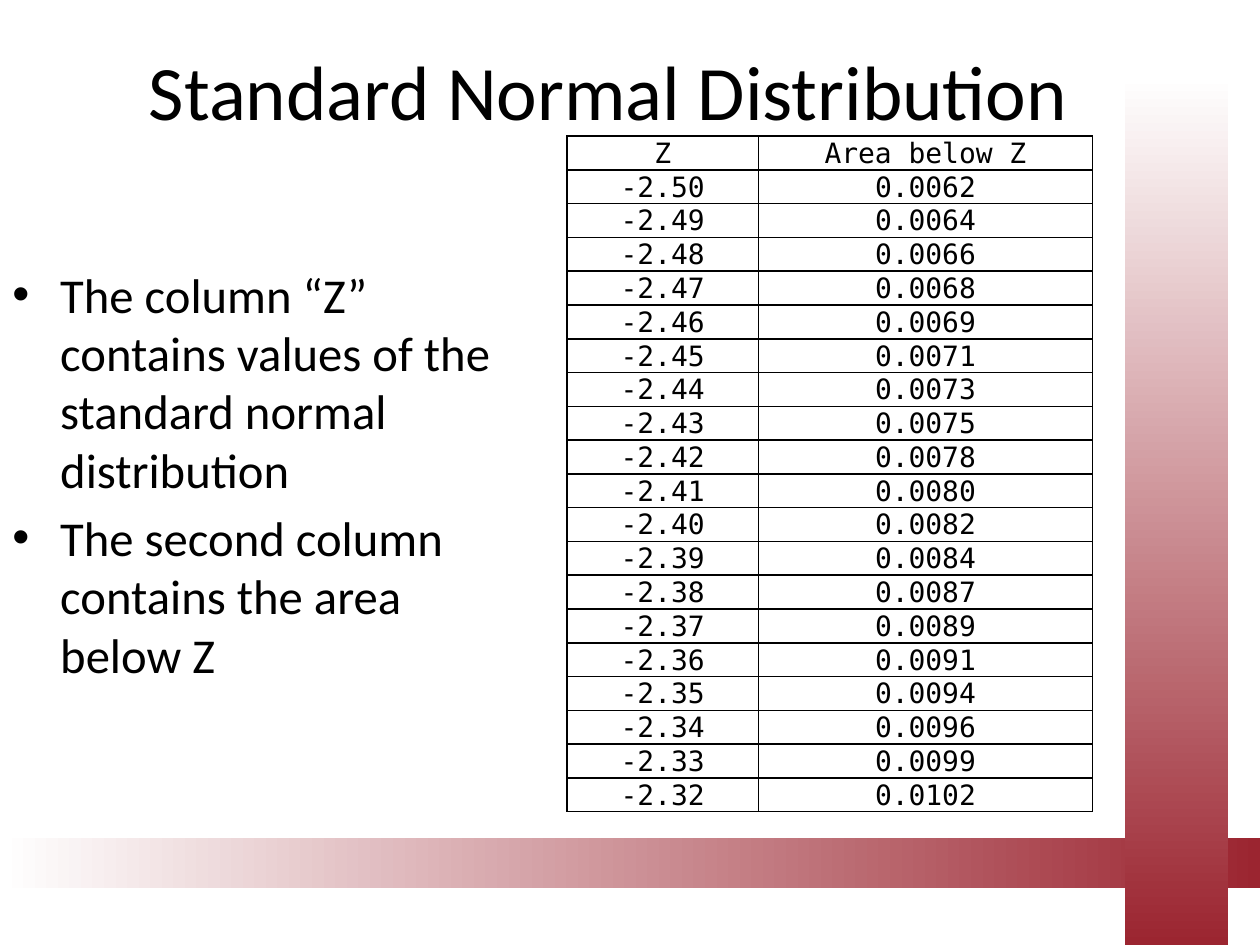
from lxml.etree import SubElement
from pptx import Presentation
from pptx.dml.color import RGBColor
from pptx.enum.shapes import MSO_SHAPE
from pptx.enum.text import MSO_ANCHOR, PP_ALIGN
from pptx.oxml.ns import qn
from pptx.util import Inches, Pt

COLORS = {"text": "000000", "fade": "FFFFFF", "accent": "9B2530", "border": "000000"}

# Content
TITLE = "Standard Normal Distribution"
BULLETS = [
    "The column “Z” contains values of the standard normal distribution",
    "The second column contains the area below Z",
]
HEADER = ("Z", "Area below Z")
FIRST_Z, Z_STEP = -2.50, 0.01
AREAS = [
    "0.0062", "0.0064", "0.0066", "0.0068", "0.0069", "0.0071", "0.0073",
    "0.0075", "0.0078", "0.0080", "0.0082", "0.0084", "0.0087", "0.0089",
    "0.0091", "0.0094", "0.0096", "0.0099", "0.0102",
]
ROWS = [HEADER] + [(f"{FIRST_Z + i * Z_STEP:.2f}", area) for i, area in enumerate(AREAS)]

# Layout: left, top, width, height in inches
TITLE_BOX = (0.58, 0.16, 8.5, 1.11)
BULLET_BOX = (0, 2.05, 4.17, 4.41)
TABLE_BOX = (4.5, 1.08, 4.17, 5.37)
COLUMN_WIDTHS = (1.52, 2.65)
# Box, position of the first gradient stop, counter-clockwise angle
BARS = [
    ((0, 6.65, 10, 0.4), 0, 0),
    ((8.93, 0, 0.82, 7.5), 0.08, 270),
]

# Formats
TITLE_FONT = {"name": "Calibri", "size": Pt(44), "bold": False}
BULLET_FONT = {"name": "Calibri", "size": Pt(27.8)}
TABLE_FONT = {"name": "DejaVu Sans Mono", "size": Pt(16), "bold": False}
CELL_FORMAT = {
    "margin_left": 0, "margin_right": 0, "margin_top": 0, "margin_bottom": 0,
    "vertical_anchor": MSO_ANCHOR.BOTTOM,
}


def rgb(name):
    return RGBColor.from_string(COLORS[name])


def apply(target, values):
    for name, value in values.items():
        setattr(target, name, value)


def place(shape, box):
    apply(shape, dict(zip(("left", "top", "width", "height"), map(Inches, box))))


def write(paragraph, text, font, alignment):
    paragraph.alignment = alignment
    run = paragraph.add_run()
    run.text = text
    apply(run.font, font)
    run.font.color.rgb = rgb("text")


def add_bar(slide, order, box, start, angle):
    bar = slide.shapes.add_shape(MSO_SHAPE.RECTANGLE, *map(Inches, box))
    bar.shadow.inherit = False
    bar.line.fill.background()
    bar.fill.gradient()
    bar.fill.gradient_angle = angle
    stops = zip(bar.fill.gradient_stops, (start, 1), ("fade", "accent"))
    for stop, position, color in stops:
        stop.position = position
        stop.color.rgb = rgb(color)
    # Bars lie behind the title; the first two tree elements are properties
    slide.shapes.element.insert(2 + order, bar.element)


def add_bullet(paragraph):
    properties = paragraph._p.get_or_add_pPr()
    properties.set("marL", str(Inches(0.38)))
    properties.set("indent", str(-Inches(0.38)))
    SubElement(properties, qn("a:buFont"), typeface="Arial")
    SubElement(properties, qn("a:buChar"), char="•")


def add_borders(cell):
    properties = cell._tc.get_or_add_tcPr()
    for index, side in enumerate(("lnL", "lnR", "lnT", "lnB")):
        line = SubElement(properties, qn(f"a:{side}"), w=str(Pt(1)))
        fill = SubElement(line, qn("a:solidFill"))
        SubElement(fill, qn("a:srgbClr"), val=COLORS["border"])
        properties.insert(index, line)


def main():
    presentation = Presentation()
    presentation.slide_width, presentation.slide_height = Inches(10), Inches(7.5)
    slide = presentation.slides.add_slide(presentation.slide_layouts[5])

    # Decorative bars
    for order, bar in enumerate(BARS):
        add_bar(slide, order, *bar)

    # Title
    title = slide.shapes.title
    place(title, TITLE_BOX)
    title.text_frame.vertical_anchor = MSO_ANCHOR.MIDDLE
    write(title.text_frame.paragraphs[0], TITLE, TITLE_FONT, PP_ALIGN.CENTER)

    # Bullets
    frame = slide.shapes.add_textbox(*map(Inches, BULLET_BOX)).text_frame
    frame.word_wrap = True
    for index, text in enumerate(BULLETS):
        paragraph = frame.add_paragraph() if index else frame.paragraphs[0]
        paragraph.space_before = Pt(5.6)
        add_bullet(paragraph)
        write(paragraph, text, BULLET_FONT, PP_ALIGN.LEFT)

    # Table of areas
    table = slide.shapes.add_table(len(ROWS), len(HEADER), *map(Inches, TABLE_BOX)).table
    table.first_row = table.horz_banding = False
    for column, width in zip(table.columns, COLUMN_WIDTHS):
        column.width = Inches(width)
    for row, values in zip(table.rows, ROWS):
        row.height = Inches(TABLE_BOX[3] / len(ROWS))
        for cell, text in zip(row.cells, values):
            apply(cell, CELL_FORMAT)
            cell.fill.background()
            add_borders(cell)
            write(cell.text_frame.paragraphs[0], text, TABLE_FONT, PP_ALIGN.CENTER)

    presentation.save("out.pptx")


if __name__ == "__main__":
    main()
